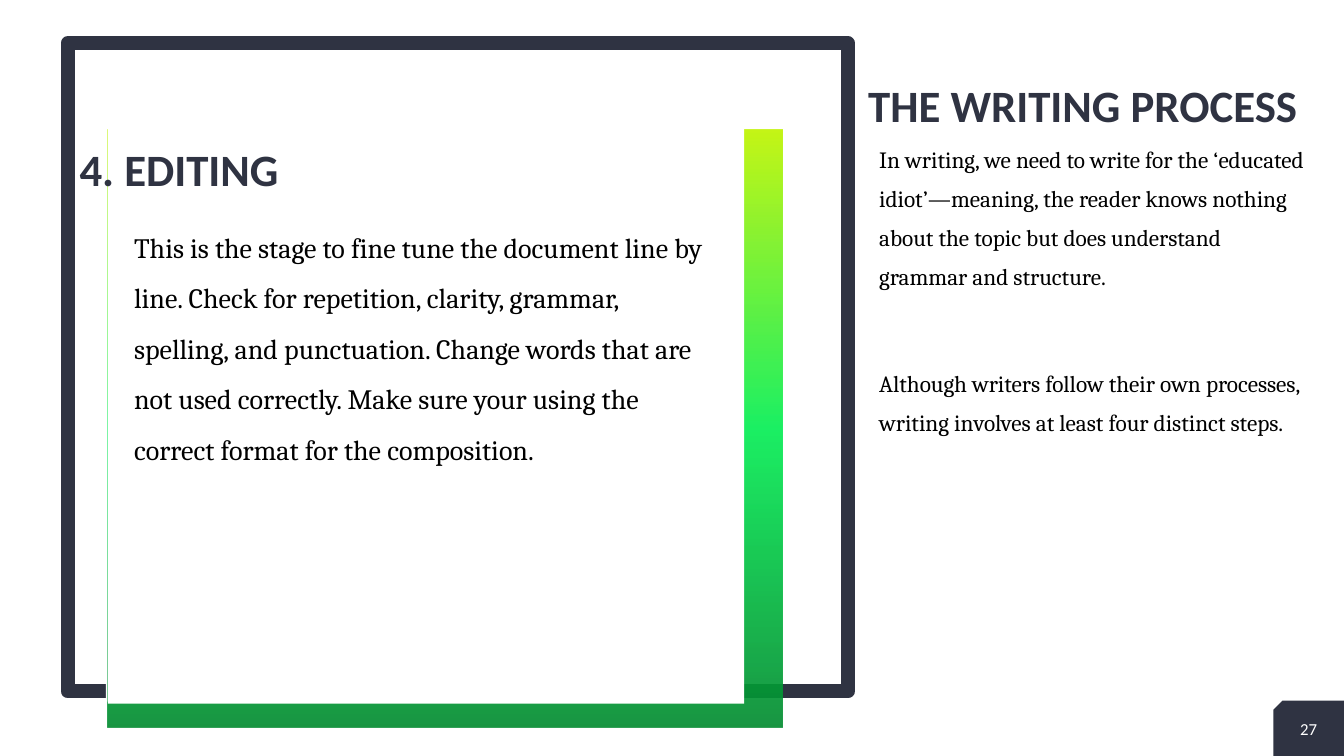
from lxml import etree
from pptx import Presentation
from pptx.dml.color import RGBColor
from pptx.enum import shapes, text
from pptx.oxml import ns
from pptx.util import Inches, Pt

# Content
PROCESS_TITLE = "THE WRITING PROCESS"
PROCESS_NOTES = [
    "In writing, we need to write for the ‘educated idiot’—meaning, the reader "
    "knows nothing about the topic but does understand grammar and structure.",
    "Although writers follow their own processes, writing involves at least "
    "four distinct steps.",
]
STAGE_TITLE = "4. EDITING"
STAGE_NOTES = (
    "This is the stage to fine tune the document line by line. Check for "
    "repetition, clarity, grammar, spelling, and punctuation. Change words that "
    "are not used correctly. Make sure your using the correct format for the "
    "composition."
)
PAGE_NUMBER = "27"

COLORS = {"navy": "2F3342", "white": "FFFFFF", "black": "000000",
          "forest": "038B30", "green": "05EE55", "lime": "C0F400"}
GLOW_STOPS = [(0, "forest"), (50, "green"), (100, "lime")]
GLOW_ALPHA = 70

# Left, top, width, height in inches
FRAME = (0.67, 0.43, 7.74, 6.43)
GLOW = (1.07, 1.29, 6.69, 5.93)
PANELS = [(1.05, 0.72, 6.31, 6.24), (1.07, 0.74, 6.31, 6.24)]
PAGE_TAB = (12.63, 6.95, 0.7, 0.55)

HEADING = dict(size=32, color="navy", bold=True, spacing=0.9,
               anchor=text.MSO_ANCHOR.BOTTOM)
NOTES = dict(font="Cambria", color="black", before=10)

deck = Presentation()
deck.slide_width, deck.slide_height = Inches(13.33), Inches(7.5)
slide = deck.slides.add_slide(deck.slide_layouts[3])
process_title, process_notes, stage_notes = slide.placeholders


def rgb(name):
    return RGBColor.from_string(COLORS[name])


def add_block(box, fill=None, line=None, preset=shapes.MSO_SHAPE.RECTANGLE):
    block = slide.shapes.add_shape(preset, *map(Inches, box))
    block.shadow.inherit = False
    if fill:
        block.fill.solid()
        block.fill.fore_color.rgb = rgb(fill)
    else:
        block.fill.background()
    if line:
        block.line.color.rgb = rgb(line)
        block.line.width = Pt(10)
    else:
        block.line.fill.background()
    return block


def add_glow(box):
    """Add a translucent block shaded from the bottom up."""
    properties = add_block(box)._element.spPr
    gradient = etree.Element(ns.qn("a:gradFill"), rotWithShape="1")
    stops = etree.SubElement(gradient, ns.qn("a:gsLst"))
    for position, name in GLOW_STOPS:
        stop = etree.SubElement(stops, ns.qn("a:gs"), pos=str(position * 1000))
        color = etree.SubElement(stop, ns.qn("a:srgbClr"), val=COLORS[name])
        etree.SubElement(color, ns.qn("a:alpha"), val=str(GLOW_ALPHA * 1000))
    etree.SubElement(gradient, ns.qn("a:lin"), ang=str(270 * 60000), scaled="0")
    properties.replace(properties.find(ns.qn("a:noFill")), gradient)


def write(words, box, holder=None, font="Calibri", size=12, color="white",
          bold=False, align=text.PP_ALIGN.LEFT, anchor=text.MSO_ANCHOR.TOP,
          spacing=1.0, before=0, gap=0):
    """Write paragraphs in a placeholder, or in a new text box, on top."""
    if holder is None:
        holder = slide.shapes.add_textbox(*map(Inches, box))
    else:
        holder.left, holder.top, holder.width, holder.height = map(Inches, box)
        tree = holder._element.getparent()
        tree.append(holder._element)
    frame = holder.text_frame
    frame.word_wrap = True
    frame.auto_size = text.MSO_AUTO_SIZE.NONE
    frame.vertical_anchor = anchor
    frame.text = words if isinstance(words, str) else "\n".join(words)
    for index, paragraph in enumerate(frame.paragraphs):
        paragraph.alignment = align
        paragraph.line_spacing = spacing
        paragraph.space_before = Pt(gap if index else before)
        paragraph.space_after = Pt(0)
        style = paragraph.runs[0].font
        style.name, style.size, style.bold = font, Pt(size), bold
        style.color.rgb = rgb(color)
        layout = paragraph._p.get_or_add_pPr()
        layout.set("marL", "0")
        layout.set("indent", "0")
        etree.SubElement(layout, ns.qn("a:buNone"))


# Frame with two layers of glow and white panel
add_block(FRAME, line="navy")
for panel in PANELS:
    add_glow(GLOW)
    add_block(panel, fill="white")

# Right column: the process
write(PROCESS_TITLE, (7.93, 0.72, 5.62, 0.64), process_title,
      align=text.PP_ALIGN.CENTER, **HEADING)
write(PROCESS_NOTES, (8.62, 1.28, 4.48, 3.71), process_notes,
      size=16.6, spacing=1.4, gap=48.5, **NOTES)

# Page number tab
tab = add_block(PAGE_TAB, fill="navy", preset=shapes.MSO_SHAPE.SNIP_1_RECTANGLE)
tab._element.spPr.find(ns.qn("a:xfrm")).set("flipH", "1")
write(PAGE_NUMBER, (12.63, 7.01, 0.7, 0.45),
      align=text.PP_ALIGN.CENTER, anchor=text.MSO_ANCHOR.MIDDLE)

# Framed panel: the stage
write(STAGE_TITLE, (0.69, 1.36, 5.62, 0.64), **HEADING)
write(STAGE_NOTES, (1.23, 2.07, 5.88, 4.69), stage_notes,
      size=20, spacing=1.5, **NOTES)

deck.save("out.pptx")
